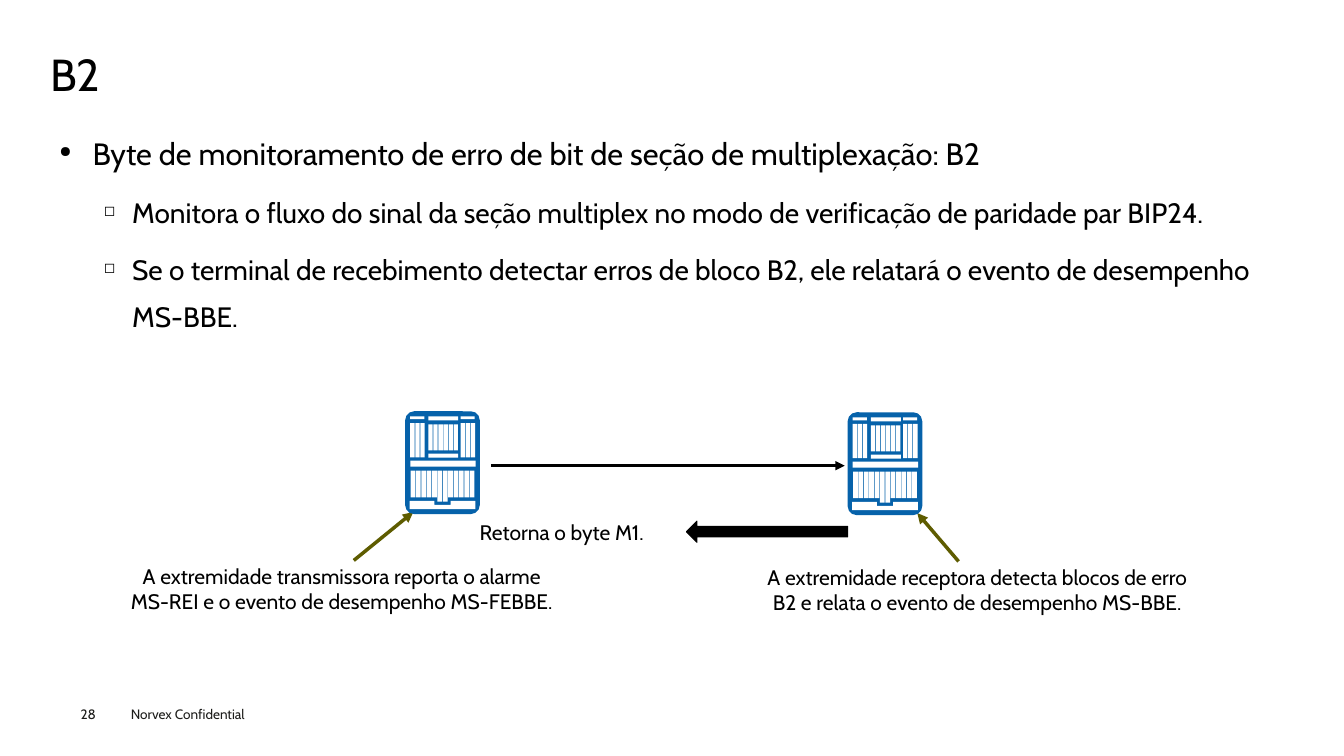
from lxml.etree import SubElement
from pptx import Presentation
from pptx.dml.color import RGBColor
from pptx.enum.shapes import MSO_CONNECTOR, MSO_SHAPE
from pptx.enum.text import MSO_ANCHOR, PP_ALIGN
from pptx.oxml.ns import qn
from pptx.util import Pt

SCALE = 3048
BLACK = RGBColor(0x00, 0x00, 0x00)
WHITE = RGBColor(0xFF, 0xFF, 0xFF)
GRAY = RGBColor(0x1D, 0x1D, 0x1B)
BLUE = RGBColor(0x06, 0x62, 0xAA)
OLIVE = RGBColor(0x5E, 0x5C, 0x00)

deck = Presentation()
deck.slide_width = 4000 * SCALE
deck.slide_height = 2250 * SCALE
page = deck.slides.add_slide(deck.slide_layouts[6])


def add_box(left, top, width, height, margins=(30, 15), anchor=MSO_ANCHOR.TOP):
    box = page.shapes.add_textbox(left * SCALE, top * SCALE, width * SCALE, height * SCALE)
    frame = box.text_frame
    frame.word_wrap = True
    frame.vertical_anchor = anchor
    frame.margin_left = frame.margin_right = margins[0] * SCALE
    frame.margin_top = frame.margin_bottom = margins[1] * SCALE
    return frame


def write(para, text, size, color=BLACK, align=PP_ALIGN.LEFT, spacing=None,
          before=0, margin=0, hanging=0, bullet=None):
    if bullet:
        properties = para._p.get_or_add_pPr()
        properties.set("marL", str(margin * SCALE))
        properties.set("indent", str(-hanging * SCALE))
        SubElement(properties, qn("a:buSzPct")).set("val", "50000")
        SubElement(properties, qn("a:buChar")).set("char", bullet)
    para.alignment = align
    para.space_before = Pt(before)
    if spacing:
        para.line_spacing = spacing
    span = para.add_run()
    span.text = text
    span.font.name = "Cabin"
    span.font.size = Pt(size)
    span.font.color.rgb = color


footer = add_box(360, 2085, 480, 81)
write(footer.paragraphs[0], "Norvex Confidential", size=9.7, color=GRAY)
number = add_box(240, 2100, 165, 48, margins=(0, 0))
write(number.paragraphs[0], "28", size=9.7, color=GRAY)
title = add_box(150, 147, 3705, 162, margins=(0, 0), anchor=MSO_ANCHOR.MIDDLE)
write(title.paragraphs[0], "B2", size=32, spacing=0.9)

body = add_box(150, 345, 3705, 1599, margins=(27, 12))
write(body.paragraphs[0], "Byte de monitoramento de erro de bit de seção de multiplexação: B2",
      size=22, align=PP_ALIGN.JUSTIFY, spacing=1.4, margin=99, hanging=99, bullet="●")
for text in (
    "Monitora o fluxo do sinal da seção multiplex no modo de verificação de paridade par BIP24.",
    "Se o terminal de recebimento detectar erros de bloco B2, ele relatará o evento de desempenho MS-BBE.",
):
    write(body.add_paragraph(), text, size=20, spacing=1.4, before=7.2,
          margin=216, hanging=84, bullet="◻")

for text, left, top, width, height, align in (
    ("A extremidade transmissora reporta o alarme MS-REI e o evento de desempenho MS-FEBBE.",
     345, 1662, 1344, 219, PP_ALIGN.CENTER),
    ("A extremidade receptora detecta blocos de erro B2 e relata o evento de desempenho MS-BBE.",
     2232, 1665, 1353, 183, PP_ALIGN.CENTER),
    ("Retorna o byte M1.", 1398, 1530, 645, 105, PP_ALIGN.LEFT),
):
    write(add_box(left, top, width, height).paragraphs[0], text, size=15, align=align)

return_arrow = page.shapes.add_shape(
    MSO_SHAPE.LEFT_ARROW, 2043 * SCALE, 1551 * SCALE, 480 * SCALE, 63 * SCALE)
return_arrow.shadow.inherit = False
return_arrow.fill.solid()
return_arrow.fill.fore_color.rgb = BLACK
return_arrow.line.color.rgb = BLACK
return_arrow.line.width = Pt(0.75)

for start_x, start_y, end_x, end_y, color, weight in (
    (1053, 1668, 1230, 1524, OLIVE, 2.5),
    (2853, 1671, 2730, 1527, OLIVE, 2.5),
    (1461, 1386, 2514, 1386, BLACK, 2.25),
):
    arrow = page.shapes.add_connector(
        MSO_CONNECTOR.STRAIGHT, start_x * SCALE, start_y * SCALE, end_x * SCALE, end_y * SCALE)
    arrow.line.color.rgb = color
    arrow.line.width = Pt(weight)
    SubElement(arrow.line._get_or_add_ln(), qn("a:tailEnd")).set("type", "triangle")
    SubElement(arrow._element.spPr, qn("a:effectLst"))

panels = [(15, 147, 195, 18), (69, 126, 89, 12), (69, 15, 89, 12),
          (15, 15, 42, 9), (165, 15, 42, 9)]
panels += [(16 + 16 * slot, 177, 14, 92 if slot in (5, 6) else 79) for slot in range(12)]
panels += [(69 + 15 * slot, 39, 13, 78) for slot in range(6)]
panels += [(side + 15 * slot, 35, 13, 102) for side in (15, 165) for slot in range(3)]
tray_points = [(13, 267), (87, 267), (87, 279), (135, 279), (135, 267),
               (209, 267), (209, 291), (13, 291)]

for icon_left, icon_top in ((1206, 1224), (2523, 1227)):
    icon = page.shapes.add_group_shape()
    cabinet = icon.shapes.add_shape(
        MSO_SHAPE.ROUNDED_RECTANGLE, icon_left * SCALE, icon_top * SCALE, 222 * SCALE, 306 * SCALE)
    cabinet.adjustments[0] = 0.12
    parts = [(cabinet, BLUE)]
    for left, top, width, height in panels:
        panel = icon.shapes.add_shape(
            MSO_SHAPE.RECTANGLE, (icon_left + left) * SCALE, (icon_top + top) * SCALE,
            width * SCALE, height * SCALE)
        parts.append((panel, WHITE))
    outline = [(icon_left + x, icon_top + y) for x, y in tray_points]
    builder = icon.shapes.build_freeform(*outline[0], scale=SCALE)
    builder.add_line_segments(outline[1:], close=True)
    parts.append((builder.convert_to_shape(), WHITE))
    for part, color in parts:
        part.shadow.inherit = False
        part.fill.solid()
        part.fill.fore_color.rgb = color
        part.line.fill.background()

deck.save("out.pptx")
